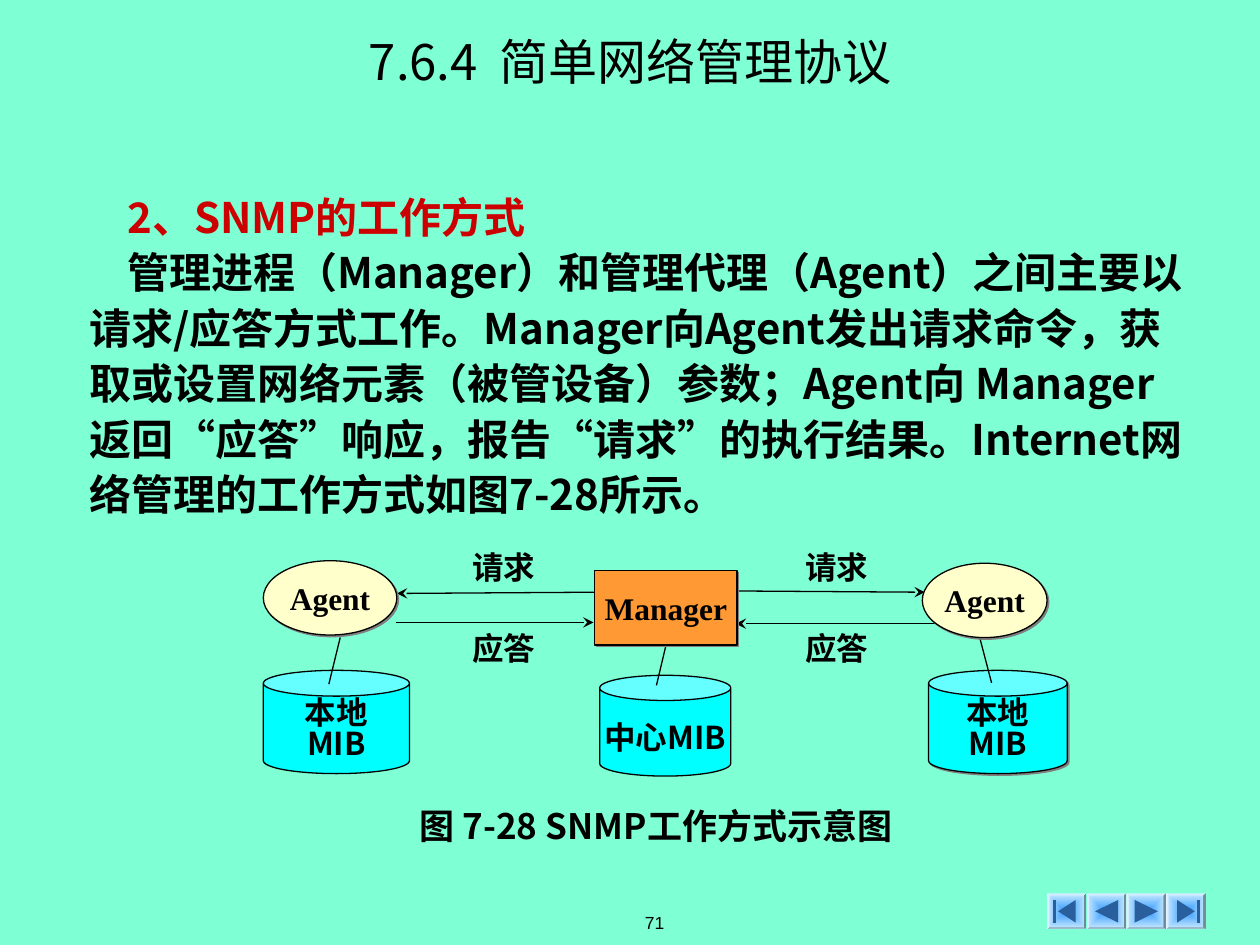
from dataclasses import dataclass

from lxml import etree
from pptx import Presentation
from pptx import util as u
from pptx.dml.color import RGBColor
from pptx.enum import shapes, text
from pptx.oxml import ns

# Grid: 100 columns by 75 rows on the slide
WIDTH, HEIGHT = u.Inches(10), u.Inches(7.5)
COLUMNS, ROWS = 100, 75
SANS, SERIF = "Noto Sans CJK SC", "Times New Roman"
BLACK, RED, CREAM, ORANGE, CYAN = "000000", "CC0000", "FFFFCC", "FF9933", "00FFFF"
SHAPE, ALIGN, ANCHOR = shapes.MSO_SHAPE, text.PP_ALIGN, text.MSO_ANCHOR


@dataclass
class Box:
    col: float
    row: float
    cols: float
    rows: float

    def lengths(self) -> tuple:
        return x(self.col), y(self.row), x(self.cols), y(self.rows)


@dataclass
class Node:
    kind: int
    box: Box
    fill: str
    lines: list
    font: str = SANS
    spacing: float = 1.0
    top_inset: float = 0
    space_before: float = 0
    shadow: bool = True


@dataclass
class Link:
    start: tuple
    end: tuple
    arrow: bool = False


def x(cols: float) -> int:
    return round(WIDTH * cols / COLUMNS)


def y(rows: float) -> int:
    return round(HEIGHT * rows / ROWS)


def rgb(value: str) -> RGBColor:
    return RGBColor.from_string(value)


def add_xml(parent, tag: str, **attributes):
    element = etree.SubElement(parent, ns.qn(tag))
    for name, value in attributes.items():
        element.set(name, str(value))
    return element


def set_frame(frame, anchor=ANCHOR.MIDDLE, insets=(0, 0, 0, 0), wrap=True):
    frame.auto_size = text.MSO_AUTO_SIZE.NONE
    frame.word_wrap = wrap
    frame.vertical_anchor = anchor
    (frame.margin_left, frame.margin_top,
     frame.margin_right, frame.margin_bottom) = map(u.Inches, insets)


def write(paragraph, words: str, size: float, font=SANS, color=BLACK, bold=True,
          align=ALIGN.CENTER, spacing=1.0, before=0):
    paragraph.alignment = align
    paragraph.line_spacing = spacing
    paragraph.space_before = u.Pt(before)
    run = paragraph.add_run()
    run.text = words
    run.font.name, run.font.size, run.font.bold = font, u.Pt(size), bold
    run.font.color.rgb = rgb(color)
    add_xml(run.font._element, "a:ea", typeface=font)


def add_label(slide, box: Box, words: str, size: float, **style):
    label = slide.shapes.add_textbox(*box.lengths())
    set_frame(label.text_frame)
    write(label.text_frame.paragraphs[0], words, size, **style)
    return label


def add_node(slide, node: Node):
    shape = slide.shapes.add_shape(node.kind, *node.box.lengths())
    shape.shadow.inherit = False
    shape.fill.solid()
    shape.fill.fore_color.rgb = rgb(node.fill)
    shape.line.color.rgb = rgb(BLACK)
    shape.line.width = u.Pt(0.75)
    if node.shadow:
        effects = shape._element.spPr.find(ns.qn("a:effectLst"))
        shadow = add_xml(effects, "a:outerShdw", dist=u.Pt(1.4), dir=45 * 60000,
                         algn="ctr", rotWithShape=0)
        add_xml(shadow, "a:srgbClr", val="808080")
    frame = shape.text_frame
    set_frame(frame, insets=(0, node.top_inset, 0, 0))
    for index, words in enumerate(node.lines):
        paragraph = frame.add_paragraph() if index else frame.paragraphs[0]
        write(paragraph, words, 18, node.font, spacing=node.spacing,
              before=node.space_before)


def add_link(slide, link: Link):
    (x1, y1), (x2, y2) = link.start, link.end
    line = slide.shapes.add_connector(shapes.MSO_CONNECTOR.STRAIGHT,
                                      x(x1), y(y1), x(x2), y(y2))
    line.line.color.rgb = rgb(BLACK)
    line.line.width = u.Pt(0.75)
    if link.arrow:
        add_xml(line.line._get_or_add_ln(), "a:tailEnd", type="stealth")
    add_xml(line._element.spPr, "a:effectLst")


def add_nav_button(slide, box: Box, direction: int, bar: bool):
    button = slide.shapes.add_shape(SHAPE.BEVEL, *box.lengths())
    button.adjustments[0] = 0.06
    button.shadow.inherit = False
    button.line.fill.background()
    button.fill.gradient()
    for stop, color in zip(button.fill.gradient_stops, ("3399FF", "CCECFF")):
        stop.color.rgb = rgb(color)
    gradient = button._element.spPr.find(ns.qn("a:gradFill"))
    gradient.remove(gradient.find(ns.qn("a:lin")))
    focus = add_xml(gradient, "a:path", path="rect")
    add_xml(focus, "a:fillToRect", l=50000, t=50000, r=50000, b=50000)

    # Triangle, with a bar beyond its tip on the first and last buttons
    middle, center = box.col + box.cols / 2, box.row + box.rows / 2
    reach = 0.7 if bar else 0.92
    base, tip = middle - direction * reach, middle + direction * reach
    outlines = [[(base, center - 0.9), (tip, center), (base, center + 0.9)]]
    if bar:
        near, far = middle + direction * 0.9, middle + direction * 1.1
        outlines.append([(near, center - 0.9), (far, center - 0.9),
                         (far, center + 0.9), (near, center + 0.9)])
    for points in outlines:
        start, *rest = [(x(px), y(py)) for px, py in points]
        builder = slide.shapes.build_freeform(*start)
        builder.add_line_segments(rest, close=True)
        icon = builder.convert_to_shape()
        icon.shadow.inherit = False
        icon.fill.solid()
        icon.fill.fore_color.rgb = rgb("2A5F9E")
        icon.line.fill.background()


def main():
    deck = Presentation()
    deck.slide_width, deck.slide_height = WIDTH, HEIGHT
    slide = deck.slides.add_slide(deck.slide_layouts[1])
    slide.background.fill.solid()
    slide.background.fill.fore_color.rgb = rgb("7FFFD4")

    # Title and body
    title, body = slide.shapes.title, slide.placeholders[1]
    for holder, box in ((title, Box(0, 1.7, 100, 6.2)), (body, Box(7.1, 14.4, 87.4, 26.8))):
        holder.left, holder.top, holder.width, holder.height = box.lengths()
    set_frame(title.text_frame, insets=(0.1, 0.05, 0.1, 0.05))
    write(title.text_frame.paragraphs[0], "7.6.4  简单网络管理协议", 28, bold=False)
    set_frame(body.text_frame, ANCHOR.TOP)
    passages = [
        ("2、SNMP的工作方式", RED, 1.2),
        ("管理进程（Manager）和管理代理（Agent）之间主要以请求/应答方式工作。"
         "Manager向Agent发出请求命令，获取或设置网络元素（被管设备）参数；"
         "Agent向 Manager 返回“应答”响应，报告“请求”的执行结果。"
         "Internet网络管理的工作方式如图7-28所示。", BLACK, 1.1),
    ]
    for index, (words, color, spacing) in enumerate(passages):
        paragraph = body.text_frame.add_paragraph() if index else body.text_frame.paragraphs[0]
        properties = paragraph._p.get_or_add_pPr()
        properties.set("marL", "0")
        properties.set("indent", str(x(3)))
        add_xml(properties, "a:buNone")
        write(paragraph, words, 24, color=color, align=ALIGN.LEFT, spacing=spacing)

    # Databases, requests and answers, then agents and manager
    local = dict(fill=CYAN, lines=["本地", "MIB"], spacing=0.8, top_inset=0.04)
    agent = dict(fill=CREAM, lines=["Agent"], font=SERIF)
    databases = [
        Node(SHAPE.CAN, Box(47.6, 53.6, 10.4, 8), CYAN, ["中心MIB"], top_inset=0.08, shadow=False),
        Node(SHAPE.CAN, Box(20.9, 53.2, 11.6, 8.2), shadow=False, **local),
        Node(SHAPE.CAN, Box(73.7, 53.2, 11, 8.2), **local),
    ]
    links = [
        Link((77.6, 50), (78.7, 54.2)),
        Link((53, 50.6), (52.1, 54.4)),
        Link((27, 50.6), (26.1, 54.3)),
        Link((57.7, 46.9), (73.4, 47), True),
        Link((31.4, 49.4), (47.1, 49.4), True),
        Link((47.2, 47), (31.5, 47.1), True),
        Link((74.2, 49.5), (58.4, 49.5), True),
    ]
    processes = [
        Node(SHAPE.OVAL, Box(73.2, 44.7, 9.9, 5.9), **agent),
        Node(SHAPE.RECTANGLE, Box(47.2, 45.3, 11.3, 5.9), ORANGE, ["Manager"], SERIF,
             space_before=3.9),
        Node(SHAPE.OVAL, Box(20.9, 44.5, 10.6, 5.9), **agent),
    ]
    for node in databases:
        add_node(slide, node)
    for link in links:
        add_link(slide, link)
    for node in processes:
        add_node(slide, node)
    for words, row in (("请求", 43.8), ("应答", 50.2)):
        for col in (37.5, 63.9):
            add_label(slide, Box(col, row, 6, 3), words, 18, align=ALIGN.JUSTIFY, spacing=0.8)

    # Caption, page number and navigation
    add_label(slide, Box(33.3, 63.5, 38.1, 4), "图 7-28 SNMP工作方式示意图", 20,
              align=ALIGN.JUSTIFY)
    page = add_label(slide, Box(41.3, 71.4, 21.3, 3.6), "71", 10, font="Arial", bold=False)
    page.text_frame.word_wrap = False
    for index, (direction, bar) in enumerate(((-1, True), (-1, False), (1, False), (1, True))):
        add_nav_button(slide, Box(83.1 + index * 3.15, 70.9, 3.15, 2.85), direction, bar)

    deck.save("out.pptx")


if __name__ == "__main__":
    main()
